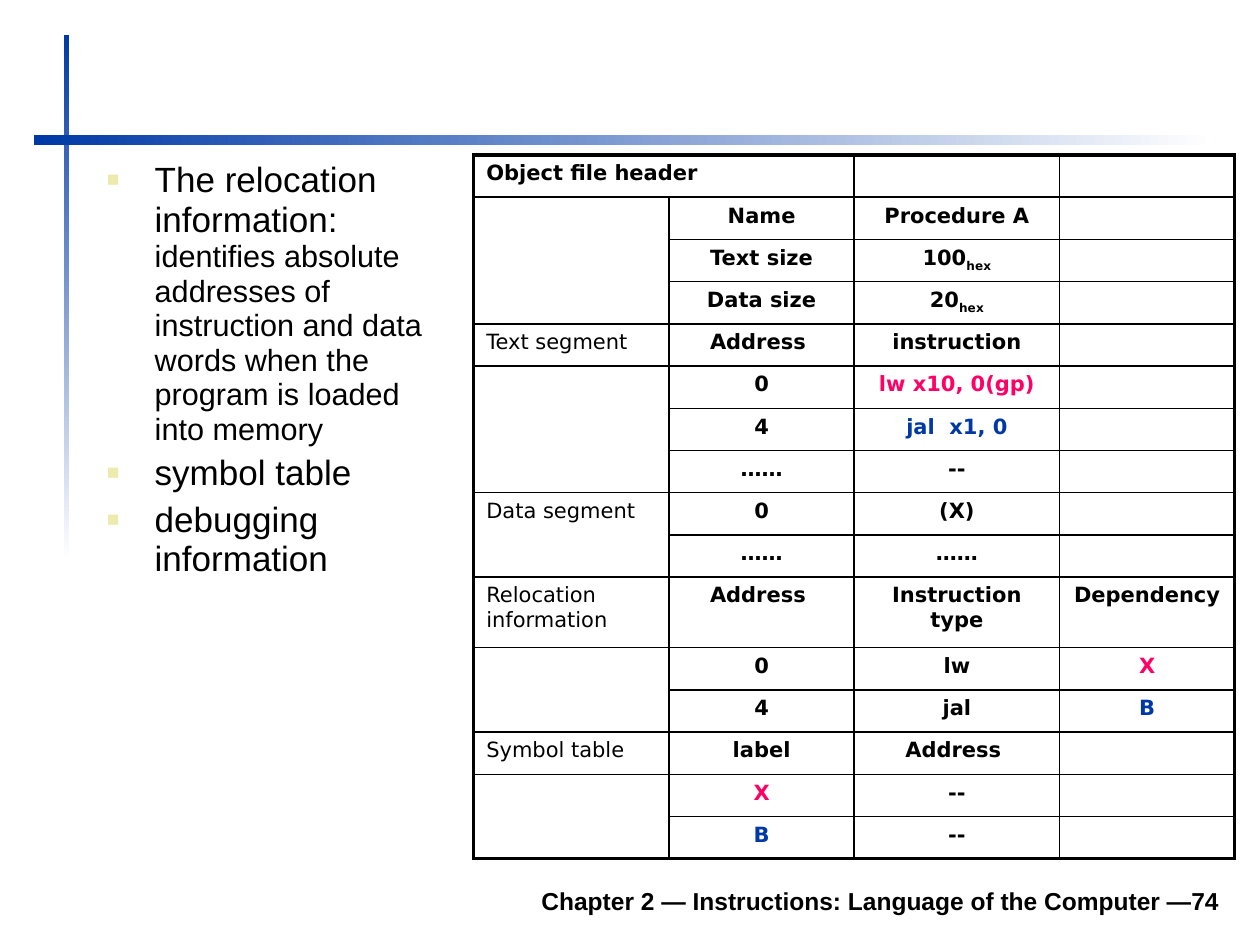
from lxml import etree
from pptx import Presentation
from pptx import util as u
from pptx.dml import color
from pptx.enum import shapes, text
from pptx.oxml import ns

COLORS = {"ink": "000000", "blue": "0039A6", "pink": "FF0066", "bullet": "ECEAAC", "paper": "FFFFFF"}
BODY = {"name": "Arial", "size": u.Pt(20), "bold": False}
DETAIL = {**BODY, "size": u.Pt(17.5)}
FOOTER = {"name": "Arial", "size": u.Pt(14), "bold": True}
CELL = {"name": "DejaVu Sans", "size": u.Pt(12), "bold": True}
SEGMENT = {**CELL, "bold": False}

BULLETS = [
    [("The relocation information: ", BODY),
     ("identifies absolute addresses of instruction and data words "
      "when the program is loaded into memory", DETAIL)],
    [("symbol table", BODY)],
    [("debugging", BODY), None, ("information", BODY)],
]
ROWS = [
    ["Object file header", "", "", ""],
    ["", "Name", "Procedure A", ""],
    ["", "Text size", "100_hex", ""],
    ["", "Data size", "20_hex", ""],
    ["Text segment", "Address ", "instruction", ""],
    ["", "0", "lw x10, 0(gp)", ""],
    ["", "4", "jal  x1, 0", ""],
    ["", "……", "--", ""],
    ["Data segment", "0", "(X)", ""],
    ["", "……", "……", ""],
    ["Relocation information", "Address ", "Instruction type", "Dependency "],
    ["", "0", "lw", "X"],
    ["", "4", "jal", "B"],
    ["Symbol table", "label", "Address ", ""],
    ["", "X", "--", ""],
    ["", "B", "--", ""],
]
MERGES = [((0, 0), (0, 1)), ((1, 0), (3, 0)), ((5, 0), (7, 0)),
          ((8, 0), (9, 0)), ((11, 0), (12, 0)), ((14, 0), (15, 0))]
COLUMN_WIDTHS = [1.55, 1.47, 1.63, 1.39]
TALL_ROW, TALL_HEIGHT = 10, 0.56
ACCENTS = {"lw x10, 0(gp)": "pink", "X": "pink", "jal  x1, 0": "blue", "B": "blue"}


def rgb(name):
    """Return the named colour."""
    return color.RGBColor.from_string(COLORS[name])


def add_element(parent, tag, **attributes):
    """Append a DrawingML element to a parent."""
    return etree.SubElement(parent, ns.qn(f"a:{tag}"), attributes)


def add_color(parent, name):
    """Append a named colour value to a parent."""
    add_element(parent, "srgbClr", val=COLORS[name])


def add_run(paragraph, words, style, ink="ink"):
    """Add a styled run to a paragraph."""
    run = paragraph.add_run()
    run.text = words
    for key, value in style.items():
        setattr(run.font, key, value)
    run.font.color.rgb = rgb(ink)
    return run


def add_fading_bar(slide, box, angle):
    """Draw a bar that fades from blue to white."""
    bar = slide.shapes.add_shape(shapes.MSO_SHAPE.RECTANGLE, *map(u.Inches, box))
    bar.shadow.inherit = False
    bar.line.fill.background()
    bar.fill.gradient()
    bar.fill.gradient_angle = angle
    for stop, name in zip(bar.fill.gradient_stops, ("blue", "paper")):
        stop.color.rgb = rgb(name)


def add_text_frame(slide, box):
    """Add a wrapping text box and return its frame."""
    frame = slide.shapes.add_textbox(*map(u.Inches, box)).text_frame
    frame.word_wrap = True
    return frame


def add_bullet(paragraph):
    """Give a paragraph a hanging square bullet."""
    properties = paragraph._p.get_or_add_pPr()
    indent = u.Inches(0.38)
    properties.set("marL", str(indent))
    properties.set("indent", str(-indent))
    add_color(add_element(properties, "buClr"), "bullet")
    add_element(properties, "buSzPct", val="60000")
    add_element(properties, "buFont", typeface="Arial")
    add_element(properties, "buChar", char="■")


def add_bullet_list(slide, box):
    """Place the bulleted list."""
    frame = add_text_frame(slide, box)
    for index, parts in enumerate(BULLETS):
        paragraph = frame.add_paragraph() if index else frame.paragraphs[0]
        add_bullet(paragraph)
        paragraph.line_spacing = 0.94
        if index:
            paragraph.space_before = u.Pt(4)
        for part in parts:
            if part:
                add_run(paragraph, *part)
            else:
                paragraph.add_line_break()


def set_borders(cell, row, column):
    """Rule a cell, with heavy lines on the outside of the table."""
    outer = {"lnL": column == 0, "lnR": column == len(COLUMN_WIDTHS) - 1, "lnT": row == 0,
             "lnB": row + cell.span_height == len(ROWS) or row == len(ROWS) - 1}
    properties = cell._tc.get_or_add_tcPr()
    for tag, heavy in outer.items():
        line = add_element(properties, tag, w=str(u.Pt(2.25 if heavy else 1)))
        add_color(add_element(line, "solidFill"), "ink")


def fill_cell(cell, words, column):
    """Write one cell, with any part after an underscore as a subscript."""
    paragraph = cell.text_frame.paragraphs[0]
    if column:
        paragraph.alignment = text.PP_ALIGN.CENTER
    if not words:
        add_element(paragraph._p, "endParaRPr", sz="1200")
        return
    style = CELL if column or words == ROWS[0][0] else SEGMENT
    base, _, subscript = words.partition("_")
    add_run(paragraph, base, style, ACCENTS.get(words, "ink"))
    if subscript:
        run = add_run(paragraph, subscript, style)
        run._r.get_or_add_rPr().set("baseline", "-25000")


def add_object_file_table(slide, box):
    """Place the table of object file sections."""
    frame = slide.shapes.add_table(len(ROWS), len(COLUMN_WIDTHS), *map(u.Inches, box))
    table = frame.table
    table.first_row = table.horz_banding = False
    for column, width in zip(table.columns, COLUMN_WIDTHS):
        column.width = u.Inches(width)
    row_height = (box[3] - TALL_HEIGHT) / (len(ROWS) - 1)
    for index, row in enumerate(table.rows):
        row.height = u.Inches(TALL_HEIGHT if index == TALL_ROW else row_height)
    for first, last in MERGES:
        table.cell(*first).merge(table.cell(*last))
    for row, values in enumerate(ROWS):
        for column, words in enumerate(values):
            cell = table.cell(row, column)
            set_borders(cell, row, column)
            cell.fill.background()
            fill_cell(cell, words, column)


def add_footer(slide, box):
    """Place the chapter line with the page number."""
    frame = add_text_frame(slide, box)
    frame.vertical_anchor = text.MSO_ANCHOR.MIDDLE
    paragraph = frame.paragraphs[0]
    paragraph.alignment = text.PP_ALIGN.RIGHT
    add_run(paragraph, "Chapter 2 — Instructions: Language of the Computer —74", FOOTER)


def main():
    """Build and save the presentation."""
    presentation = Presentation()
    presentation.slide_width, presentation.slide_height = u.Inches(10), u.Inches(7.5)
    slide = presentation.slides.add_slide(presentation.slide_layouts[6])
    add_fading_bar(slide, (0.51, 0.28, 0.04, 4.17), 270)
    add_fading_bar(slide, (0.27, 1.07, 9.37, 0.08), 0)
    add_bullet_list(slide, (0.75, 1.23, 2.9, 5.59))
    add_object_file_table(slide, (3.76, 1.23, 6.04, 5.59))
    add_footer(slide, (2.88, 6.95, 6.9, 0.4))
    presentation.save("out.pptx")


if __name__ == "__main__":
    main()
